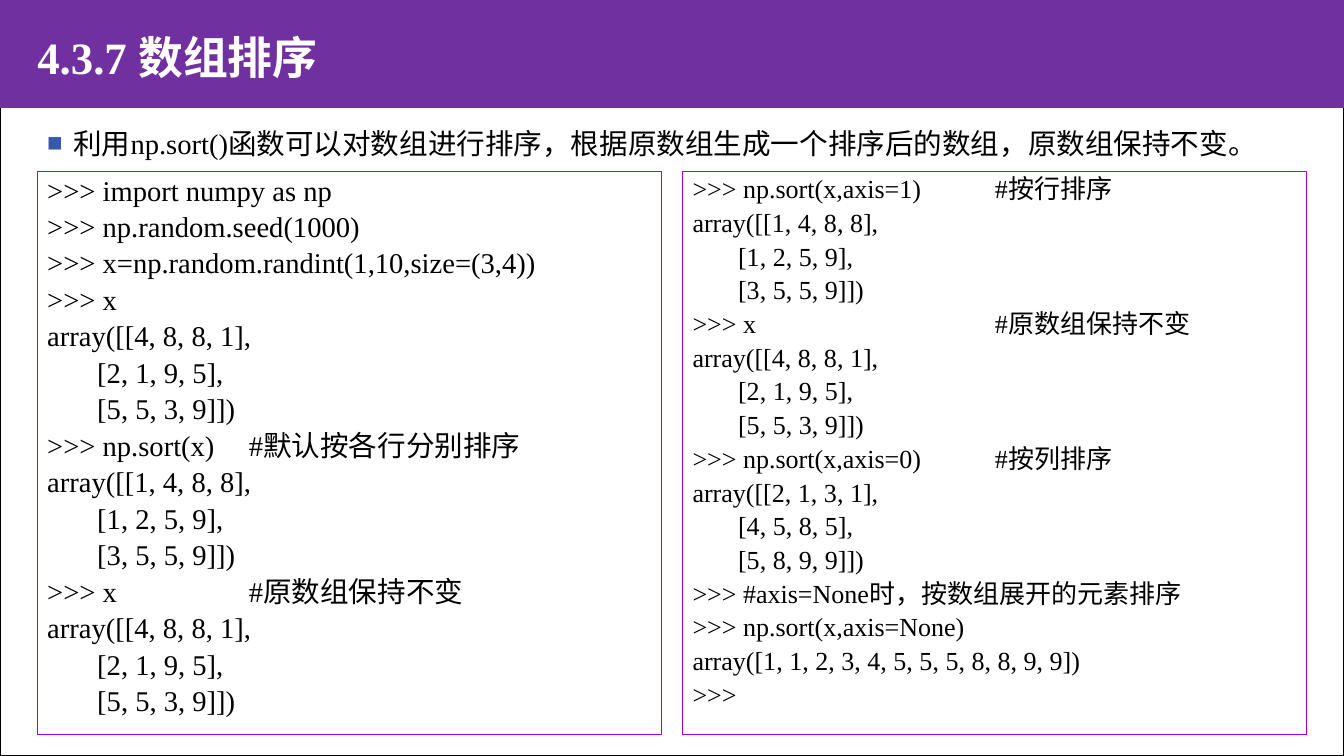
import pptx
import pptx.util
import pptx.dml.color
import pptx.enum.shapes
import pptx.enum.text
import pptx.oxml
import pptx.oxml.ns

Inches, Pt = pptx.util.Inches, pptx.util.Pt
RGB = pptx.dml.color.RGBColor.from_string
ANCHOR = pptx.enum.text.MSO_ANCHOR
SPACE = pptx.oxml.ns.nsdecls("a")
FACE = "Times New Roman"
HUES = {"black": "000000", "white": "FFFFFF", "band": "7030A0",
        "frame": "9900FF", "bullet": "365AA8"}

deck = pptx.Presentation()
deck.slide_width, deck.slide_height = Inches(13.33), Inches(7.5)
slide = deck.slides.add_slide(deck.slide_layouts[6])


def box(place, fill=None, line=None, width=1):
    """Add a rectangle with an optional fill and outline."""
    rect = slide.shapes.add_shape(pptx.enum.shapes.MSO_SHAPE.RECTANGLE,
                                  *map(Inches, place))
    rect.shadow.inherit = False
    if fill:
        rect.fill.solid()
        rect.fill.fore_color.rgb = RGB(HUES[fill])
    else:
        rect.fill.background()
    if line:
        rect.line.color.rgb = RGB(HUES[line])
        rect.line.width = Pt(width)
    else:
        rect.line.fill.background()
    return rect


def write(shape, text, size, hue="black", bold=False, lead=1.0, anchor=ANCHOR.TOP):
    """Write one paragraph for each line of text."""
    frame = shape.text_frame
    frame.word_wrap = True
    frame.vertical_anchor = anchor
    for i, row in enumerate(text.split("\n")):
        para = frame.paragraphs[0] if i == 0 else frame.add_paragraph()
        look = {"alignment": pptx.enum.text.PP_ALIGN.LEFT, "line_spacing": lead,
                "space_before": Pt(3 if i else 0), "space_after": Pt(1)}
        for key, value in look.items():
            setattr(para, key, value)
        if "\t" in row:
            stops = "".join(f'<a:tab pos="{Inches(n)}" algn="l"/>' for n in (1, 2, 3))
            para._p.get_or_add_pPr().append(
                pptx.oxml.parse_xml(f"<a:tabLst {SPACE}>{stops}</a:tabLst>"))
        run = para.add_run()
        run.text = row
        for key, value in {"name": FACE, "size": Pt(size), "bold": bold}.items():
            setattr(run.font, key, value)
        run.font.color.rgb = RGB(HUES[hue])
    return frame


# Slide border and title band
box((0, 0, 13.33, 7.5), line="black")
box((0, 0, 13.33, 1.07), fill="band")

# Two code panels
LEFT = """>>> import numpy as np
>>> np.random.seed(1000)
>>> x=np.random.randint(1,10,size=(3,4))
>>> x
array([[4, 8, 8, 1],
       [2, 1, 9, 5],
       [5, 5, 3, 9]])
>>> np.sort(x)\t#默认按各行分别排序
array([[1, 4, 8, 8],
       [1, 2, 5, 9],
       [3, 5, 5, 9]])
>>> x\t\t#原数组保持不变
array([[4, 8, 8, 1],
       [2, 1, 9, 5],
       [5, 5, 3, 9]])"""
RIGHT = """>>> np.sort(x,axis=1)\t#按行排序
array([[1, 4, 8, 8],
       [1, 2, 5, 9],
       [3, 5, 5, 9]])
>>> x\t\t\t#原数组保持不变
array([[4, 8, 8, 1],
       [2, 1, 9, 5],
       [5, 5, 3, 9]])
>>> np.sort(x,axis=0)\t#按列排序
array([[2, 1, 3, 1],
       [4, 5, 8, 5],
       [5, 8, 9, 9]])
>>> #axis=None时，按数组展开的元素排序
>>> np.sort(x,axis=None)
array([1, 1, 2, 3, 4, 5, 5, 5, 8, 8, 9, 9])
>>>"""
for x, code, size in ((0.37, LEFT, 20.4), (6.77, RIGHT, 18.6)):
    panel = box((x, 1.7, 6.19, 5.59), line="frame", width=0.75)
    write(panel, code, size, lead=0.9)

# Title
title = slide.shapes.add_textbox(*map(Inches, (0.37, 0, 9.53, 1.07)))
frame = write(title, "4.3.7 数组排序", 32, "white", True, 1.1, ANCHOR.MIDDLE)
for side in ("left", "top", "right", "bottom"):
    setattr(frame, "margin_" + side, 0)

# Bulleted statement
intro = slide.shapes.add_textbox(*map(Inches, (0.37, 1.2, 12.6, 0.51)))
frame = write(intro, "利用np.sort()函数可以对数组进行排序，根据原数组生成一个排序后的数组，"
              "原数组保持不变。", 20.4)
props = frame.paragraphs[0]._p.get_or_add_pPr()
props.set("marL", str(Inches(0.26)))
props.set("indent", str(Inches(-0.26)))
for mark in (f'<a:buClr {SPACE}><a:srgbClr val="{HUES["bullet"]}"/></a:buClr>',
             f'<a:buSzPct {SPACE} val="90000"/>',
             f'<a:buFont {SPACE} typeface="{FACE}"/>',
             f'<a:buChar {SPACE} char="■"/>'):
    props.append(pptx.oxml.parse_xml(mark))

deck.save("out.pptx")
